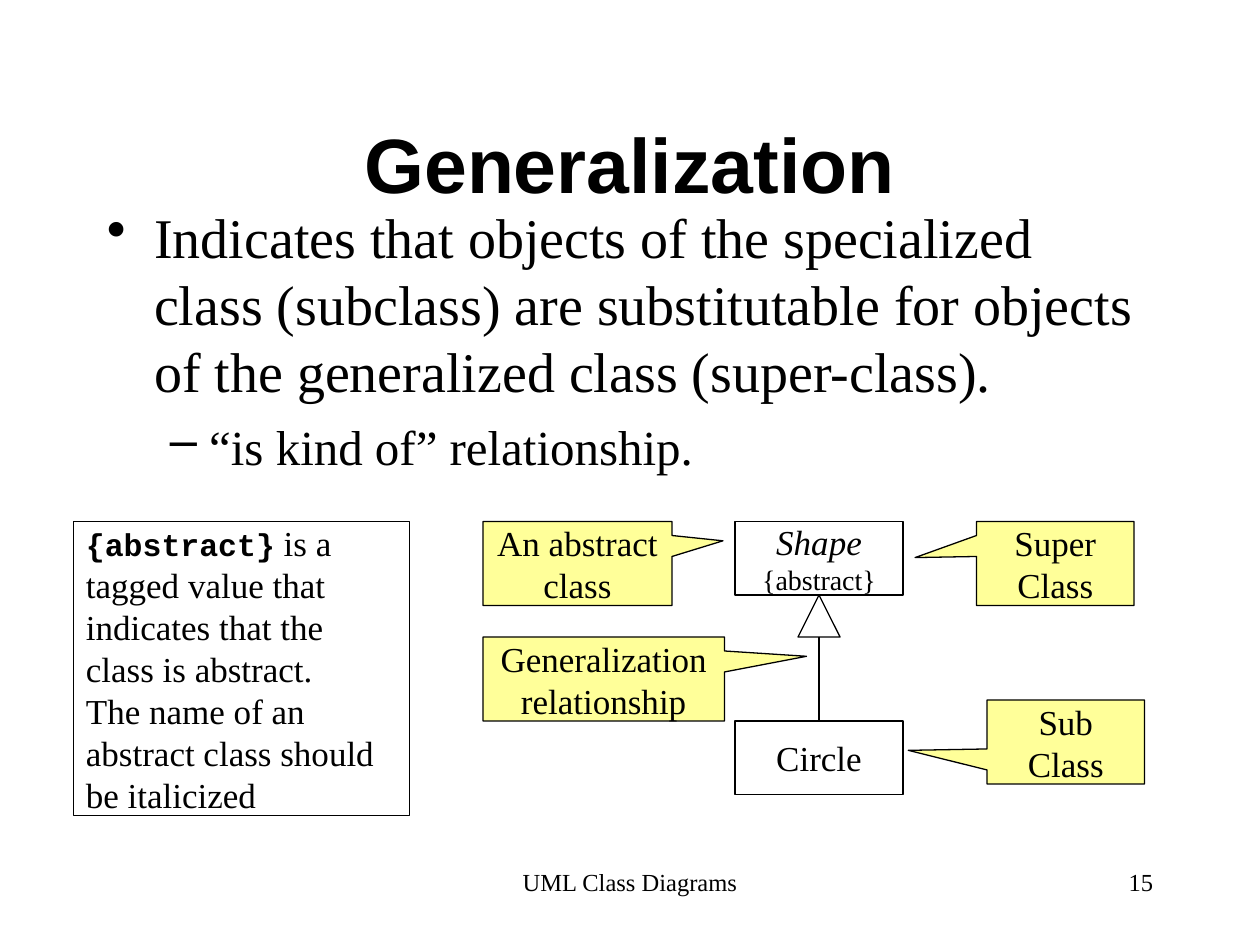
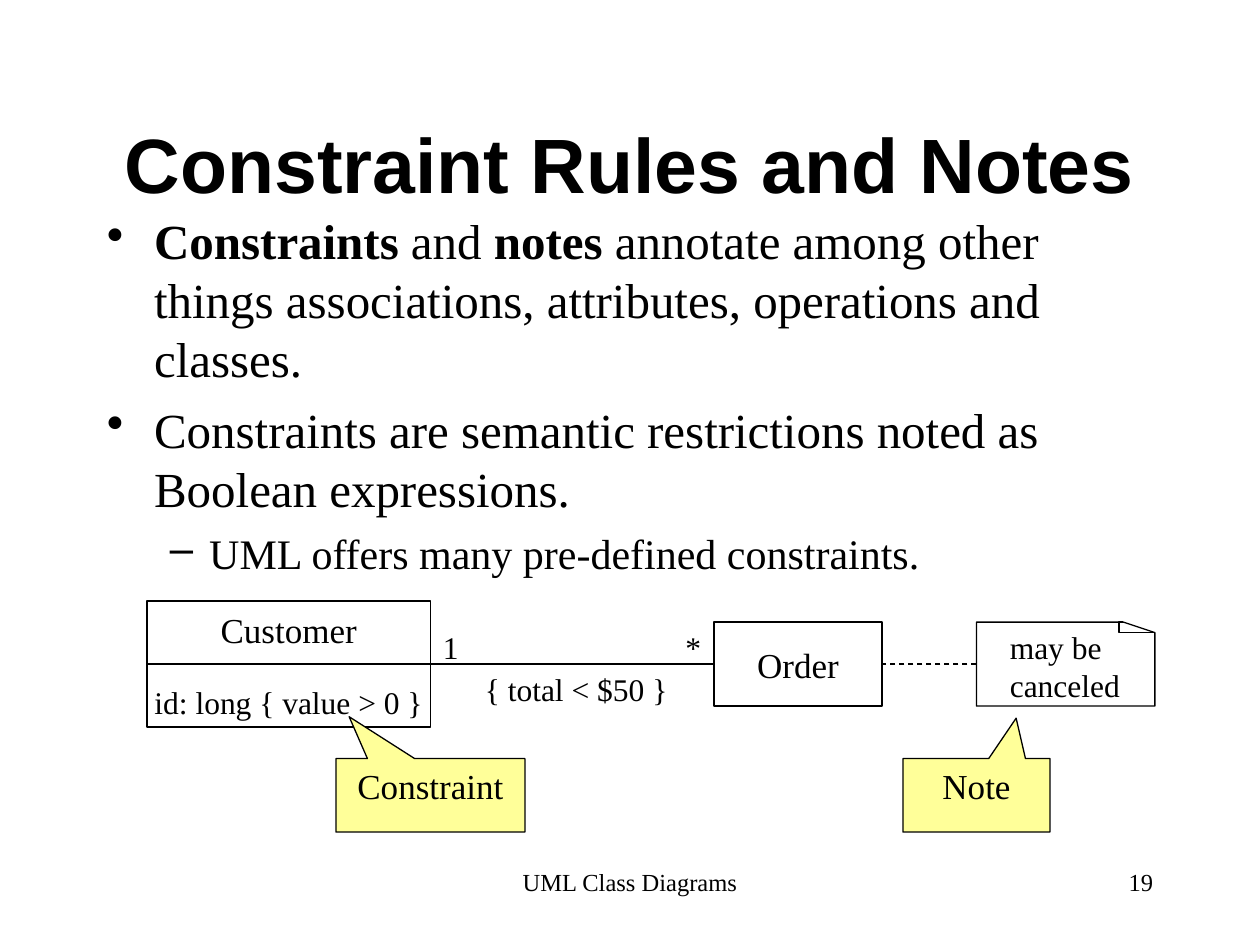
from lxml.etree import SubElement
from pptx import Presentation
from pptx.dml.color import RGBColor
from pptx.enum.dml import MSO_LINE
from pptx.enum.shapes import MSO_CONNECTOR, MSO_SHAPE
from pptx.enum.text import MSO_ANCHOR, MSO_AUTO_SIZE, PP_ALIGN
from pptx.oxml.ns import qn
from pptx.util import Pt

BLACK, YELLOW = "000000", "FFFF99"
SERIF, SANS, MONO = "Times New Roman", "Arial", "Courier New"
LEFT, CENTER, RIGHT = PP_ALIGN.LEFT, PP_ALIGN.CENTER, PP_ALIGN.RIGHT
TOP, MIDDLE, BOTTOM = MSO_ANCHOR.TOP, MSO_ANCHOR.MIDDLE, MSO_ANCHOR.BOTTOM
BULLETS = [("•", 27, -27), ("–", 58.5, -22.5)]  # sign, margin, indent by level


def color(hex_string):
    return RGBColor.from_string(hex_string)


def points(*lengths):
    return [Pt(length) for length in lengths]


class SlideMaker:
    """Holds the shared style and the slide being drawn."""

    def __init__(self):
        self.deck = Presentation()
        self.deck.slide_width, self.deck.slide_height = points(720, 540)
        self.page = None

    def new_page(self, title, number):
        self.page = self.deck.slides.add_slide(self.deck.slide_layouts[6])
        self.text(title, 54, 48, 612, 90, size=44, align=CENTER,
                  anchor=MIDDLE, name=SANS, bold=True)
        self.text("UML Class Diagrams", 246, 492, 228, 36, size=14, align=CENTER)
        self.text(str(number), 516, 492, 150, 36, size=14, align=RIGHT)

    def add_spans(self, para, content, size, **font):
        """Content is a string or a list of (text, font changes) spans."""
        spans = [(content, {})] if isinstance(content, str) else content
        for words, changes in spans:
            formats = {"name": SERIF, "size": size, **font, **changes}
            formats["size"] = Pt(formats["size"])
            for index, line in enumerate(words.split("\n")):
                if index:
                    para.add_line_break()
                if not line:
                    continue
                span = para.add_run()
                span.text = line
                span.font.color.rgb = color(BLACK)
                for key, value in formats.items():
                    setattr(span.font, key, value)

    def fill_frame(self, box, content, size, align, anchor, wrap, **font):
        frame = box.text_frame
        frame.word_wrap = wrap
        frame.vertical_anchor = anchor
        para = frame.paragraphs[0]
        para.alignment = align
        self.add_spans(para, content, size, **font)

    def text(self, content, *place, size=18, align=LEFT, anchor=TOP,
             wrap=True, **font):
        box = self.page.shapes.add_textbox(*points(*place))
        self.fill_frame(box, content, size, align, anchor, wrap, **font)
        return box

    def label(self, content, left, top, width):
        box = self.text(content, left, top, width, 29, wrap=False)
        box.text_frame.auto_size = MSO_AUTO_SIZE.SHAPE_TO_FIT_TEXT

    def bullets(self, items, top, height):
        """Items are (level, size, content)."""
        frame = self.text("", 54, top, 612, height).text_frame
        for index, (level, size, content) in enumerate(items):
            para = frame.add_paragraph() if index else frame.paragraphs[0]
            sign, margin, indent = BULLETS[level]
            para.level = level
            para.space_before = Pt(size / 4)
            properties = para._p.get_or_add_pPr()
            properties.set("marL", str(Pt(margin)))
            properties.set("indent", str(Pt(indent)))
            SubElement(properties, qn("a:buChar")).set("char", sign)
            self.add_spans(para, content, size)

    def outline(self, shape, fill=None):
        shape.shadow.inherit = False
        if fill:
            shape.fill.solid()
            shape.fill.fore_color.rgb = color(fill)
        else:
            shape.fill.background()
        shape.line.color.rgb = color(BLACK)
        shape.line.width = Pt(0.75)

    def shape(self, kind, *place, fill=None):
        shape = self.page.shapes.add_shape(kind, *points(*place))
        self.outline(shape, fill)
        return shape

    def box(self, content, *place, size=20, align=CENTER, anchor=MIDDLE, wrap=False):
        box = self.shape(MSO_SHAPE.RECTANGLE, *place)
        self.fill_frame(box, content, size, align, anchor, wrap)
        return box

    def callout(self, content, *place, tip, anchor=MIDDLE):
        """Tip is the pointer's offset from the centre, in box widths and heights."""
        box = self.shape(MSO_SHAPE.RECTANGULAR_CALLOUT, *place, fill=YELLOW)
        for index, offset in enumerate(tip):
            box.adjustments[index] = offset
        self.fill_frame(box, content, 20, CENTER, anchor, True)

    def polygon(self, corners, close):
        start, *others = [points(*corner) for corner in corners]
        builder = self.page.shapes.build_freeform(*start)
        builder.add_line_segments(others, close=close)
        self.outline(builder.convert_to_shape())

    def line(self, start, end, begin=None, finish=None, dash=None):
        """Begin and finish are (box, side) pairs to join."""
        line = self.page.shapes.add_connector(
            MSO_CONNECTOR.STRAIGHT, *points(*start, *end))
        if begin:
            line.begin_connect(*begin)
        if finish:
            line.end_connect(*finish)
        line.line.color.rgb = color(BLACK)
        line.line.width = Pt(0.75)
        if dash:
            line.line.dash_style = dash
        SubElement(line._element.spPr, qn("a:effectLst"))


def generalization(maker):
    maker.new_page("Generalization", 15)
    maker.bullets([
        (0, 32, "Indicates that objects of the specialized class (subclass) are "
                "substitutable for objects of the generalized class (super-class)."),
        (1, 28, "“is kind of” relationship."),
    ], 112, 168)

    # Class hierarchy
    top = 298
    maker.box([("Shape\n", {"italic": True}), ("{abstract}", {"size": 16})],
              420, top, 96, 42)
    maker.shape(MSO_SHAPE.ISOSCELES_TRIANGLE, 456, 340, 24, 24)
    circle = maker.box("Circle", 420, 412, 96, 42)
    maker.line((468, 364), (468, 412), finish=(circle, 0))

    # Explanations
    for content, left, y, width, tip in [
        ("Super Class", 558, top, 90, (-0.89, -0.07)),
        ("Sub Class", 564, 400, 90, (-1, 0.1)),
        ("An abstract class", 276, top, 108, (0.77, -0.27)),
        ("Generalization relationship", 276, 364, 138, (0.84, -0.27)),
    ]:
        maker.callout(content, left, y, width, 48, tip=tip)
    maker.box([
        ("{abstract}", {"name": MONO, "size": 18, "bold": True}),
        (" is a tagged value that indicates that the class is abstract. \n"
         "The name of an abstract class should be italicized", {}),
    ], 42, top, 192, 168, align=LEFT, wrap=True)


def constraints(maker):
    maker.new_page("Constraint Rules and Notes", 19)
    strong = {"bold": True}
    maker.bullets([
        (0, 28, [("Constraints", strong), (" and ", {}), ("notes", strong),
                 (" annotate among other things associations, attributes, "
                  "operations and classes.", {})]),
        (0, 28, "Constraints are semantic restrictions noted as Boolean expressions."),
        (1, 24, "UML offers many pre-defined constraints."),
    ], 117, 222)

    # Associated classes, all centred on one axis
    axis = 379.5
    top = axis - 24
    customer = maker.box("id: long { value > 0 }", 84, axis - 36, 162, 72,
                         size=18, anchor=BOTTOM)
    maker.line((84, axis), (246, axis), (customer, 1), (customer, 3))
    maker.text("Customer", 84, axis - 36, 162, 32, size=20, align=CENTER, anchor=BOTTOM)
    order = maker.box("Order", 408, top, 96, 48)
    maker.line((246, axis), (408, axis), (customer, 3), (order, 1))
    maker.label("*", 384.5, top, 23)
    maker.label("1", 246, top, 23)
    maker.label("{ total < $50 }", 270, axis, 119)

    # Note with a folded corner
    left, right, fold, bottom = 558, 660, top + 6, top + 48
    maker.polygon([(left, top), (left, bottom), (right, bottom),
                   (right, fold), (642, top)], close=True)
    maker.polygon([(642, top), (639.5, top), (639.5, fold), (right, fold)],
                  close=False)
    maker.text("may be canceled", 570, top, 91.5, 52.5)
    maker.line((left, axis), (504, axis), finish=(order, 3), dash=MSO_LINE.DASH)

    # Explanations
    maker.callout("Constraint", 192, 433.5, 108, 42, tip=(-0.43, -1.07), anchor=TOP)
    maker.callout("Note", 516, 433.5, 84, 42, tip=(0.27, -1.05), anchor=TOP)


def main():
    maker = SlideMaker()
    generalization(maker)
    constraints(maker)
    maker.deck.save("out.pptx")


if __name__ == "__main__":
    main()
